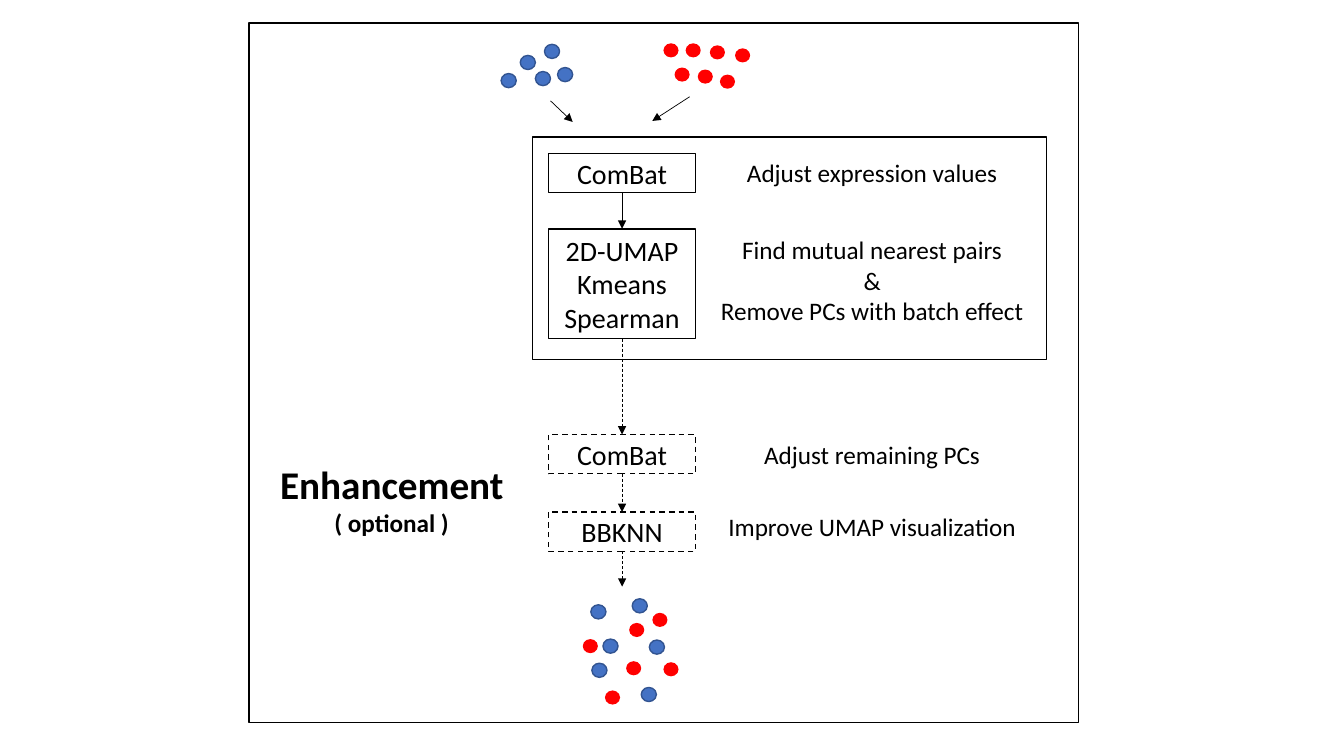
from collections import namedtuple
from dataclasses import dataclass

from lxml.etree import SubElement
from pptx import Presentation
from pptx.dml.color import RGBColor
from pptx.enum.dml import MSO_LINE
from pptx.enum.shapes import MSO_CONNECTOR, MSO_SHAPE
from pptx.enum.text import MSO_ANCHOR, MSO_AUTO_SIZE, PP_ALIGN
from pptx.oxml.ns import qn
from pptx.util import Inches, Pt


@dataclass(frozen=True)
class Theme:
    font: str = "Calibri"
    ink: RGBColor = RGBColor(0x00, 0x00, 0x00)
    blue: RGBColor = RGBColor(0x44, 0x72, 0xC4)
    blue_edge: RGBColor = RGBColor(0x32, 0x54, 0x91)
    red: RGBColor = RGBColor(0xFF, 0x00, 0x00)
    heading_size: int = 28
    step_size: int = 20
    note_size: int = 18
    outline: float = 1
    arrow: float = 0.5


THEME = Theme()
Box = namedtuple("Box", "left top width height")
# top is measured from the region; note_rise from the top of the step
Step = namedtuple("Step", "names top height note note_width note_height note_rise")

STEP_WIDTH = 1.46
DOT_WIDTH, DOT_HEIGHT = 0.15, 0.14

PAGE = Box(2.47, 0.23, 8.23, 6.94)
BLUE_BATCH = Box(4.97, 0.44, 0.71, 0.43)
RED_BATCH = Box(6.58, 0.43, 0.86, 0.45)
CORE = Box(5.28, 1.36, 5.1, 2.21)
ENHANCEMENT = Box(5.28, 4.31, 5.1, 1.16)
ENHANCEMENT_TITLE = Box(2.63, 4.52, 2.51, 0.88)
MIXED = Box(5.78, 5.94, 0.95, 1.05)

BLUE_DOTS = [(0.19, 0.11), (0.34, 0.27), (0.56, 0.23), (0.43, 0), (0, 0.29)]
RED_DOTS = [(0.34, 0.26), (0.11, 0.24), (0.22, 0), (0.46, 0.02), (0, 0),
            (0.56, 0.31), (0.71, 0.05)]
MIXED_BLUE = [(0.09, 0.64), (0.66, 0.41), (0.2, 0.4), (0.58, 0.88),
              (0.08, 0.06), (0.49, 0)]
MIXED_RED = [(0.46, 0.24), (0.22, 0.91), (0.8, 0.63), (0.43, 0.62),
             (0, 0.4), (0.69, 0.14)]

CORE_STEPS = [
    Step(["ComBat"], 0.16, 0.39, ["Adjust expression values"], 2.71, 0.4, 0.01),
    Step(["2D-UMAP", "Kmeans", "Spearman"], 0.91, 1.09,
         ["Find mutual nearest pairs", "&", "Remove PCs with batch effect"],
         3.24, 1.01, -0.01),
]
ENHANCEMENT_STEPS = [
    Step(["ComBat"], 0, 0.39, ["Adjust remaining PCs"], 2.37, 0.4, 0),
    Step(["BBKNN"], 0.77, 0.39, ["Improve UMAP visualization"], 3.08, 0.4, 0.06),
]


def inches(box):
    return [Inches(length) for length in box]


def write(frame, lines, *, sizes, bold=False, wrap=True, anchor=MSO_ANCHOR.TOP):
    frame.word_wrap = wrap
    frame.vertical_anchor = anchor
    for index, (line, size) in enumerate(zip(lines, sizes)):
        paragraph = frame.paragraphs[0] if index == 0 else frame.add_paragraph()
        paragraph.alignment = PP_ALIGN.CENTER
        run = paragraph.add_run()
        run.text = line
        run.font.name = THEME.font
        run.font.size = Pt(size)
        run.font.bold = bold
        run.font.color.rgb = THEME.ink


def add_note(slide, box, lines, **text_format):
    note = slide.shapes.add_textbox(*inches(box))
    write(note.text_frame, lines, **text_format)
    note.text_frame.auto_size = MSO_AUTO_SIZE.SHAPE_TO_FIT_TEXT


def add_frame(slide, box, dashed=False):
    frame = slide.shapes.add_shape(MSO_SHAPE.RECTANGLE, *inches(box))
    frame.shadow.inherit = False
    frame.fill.background()
    frame.line.color.rgb = THEME.ink
    frame.line.width = Pt(THEME.outline)
    if dashed:
        frame.line.dash_style = MSO_LINE.DASH
    return frame


def add_arrow(slide, start, end, dashed=False):
    arrow = slide.shapes.add_connector(
        MSO_CONNECTOR.STRAIGHT, *inches(start), *inches(end))
    arrow.line.color.rgb = THEME.ink
    arrow.line.width = Pt(THEME.arrow)
    if dashed:
        arrow.line.dash_style = MSO_LINE.DASH
    properties = arrow.line._get_or_add_ln()
    SubElement(properties, qn("a:tailEnd"), type="triangle")
    SubElement(properties.getparent(), qn("a:effectLst"))
    return arrow


def join_steps(slide, upper, lower, dashed):
    arrow = add_arrow(slide, (0, 0), (0, 0), dashed)
    arrow.begin_connect(upper, 2)
    arrow.end_connect(lower, 0)


def add_cells(slide, box, blue=(), red=()):
    cells = slide.shapes.add_group_shape()
    for offsets, fill, edge in ((blue, THEME.blue, THEME.blue_edge),
                                (red, THEME.red, None)):
        for x, y in offsets:
            cell = cells.shapes.add_shape(
                MSO_SHAPE.OVAL,
                *inches((box.left + x, box.top + y, DOT_WIDTH, DOT_HEIGHT)))
            cell.shadow.inherit = False
            cell.fill.solid()
            cell.fill.fore_color.rgb = fill
            if edge is None:
                cell.line.fill.background()
            else:
                cell.line.color.rgb = edge
                cell.line.width = Pt(THEME.outline)


def add_steps(slide, box, steps, dashed=False):
    """Stack the steps at the left of the box, each with its note beside it."""
    step_left = box.left + 0.16
    note_center = box.left + 3.37
    placed = []
    for step in steps:
        top = box.top + step.top
        shape = add_frame(slide, Box(step_left, top, STEP_WIDTH, step.height), dashed)
        write(shape.text_frame, step.names, anchor=MSO_ANCHOR.MIDDLE,
              sizes=[THEME.step_size] * len(step.names))
        add_note(slide, Box(note_center - step.note_width / 2, top - step.note_rise,
                            step.note_width, step.note_height),
                 step.note, sizes=[THEME.note_size] * len(step.note), wrap=False)
        placed.append(shape)
    for upper, lower in zip(placed, placed[1:]):
        join_steps(slide, upper, lower, dashed)
    return placed


def add_inputs(slide, blue_box, red_box):
    add_cells(slide, blue_box, blue=BLUE_DOTS)
    add_cells(slide, red_box, red=RED_DOTS)
    for box, start, end in ((blue_box, (0.49, 0.56), (0.71, 0.77)),
                            (red_box, (0.26, 0.53), (-0.11, 0.77))):
        add_arrow(slide, (box.left + start[0], box.top + start[1]),
                  (box.left + end[0], box.top + end[1]))


def add_output(slide, box, last_step):
    center = box.left + 0.39
    arrow = add_arrow(slide, (center, box.top - 0.47), (center, box.top - 0.12),
                      dashed=True)
    arrow.begin_connect(last_step, 2)
    add_cells(slide, box, MIXED_BLUE, MIXED_RED)


def main():
    deck = Presentation()
    deck.slide_width, deck.slide_height = Inches(13.33), Inches(7.5)
    slide = deck.slides.add_slide(deck.slide_layouts[6])

    # Outer frame and the two batches
    add_frame(slide, PAGE)
    add_inputs(slide, BLUE_BATCH, RED_BATCH)

    # Core correction
    add_frame(slide, CORE)
    core = add_steps(slide, CORE, CORE_STEPS)

    # Optional enhancement
    add_note(slide, ENHANCEMENT_TITLE, ["Enhancement", "( optional )"],
             sizes=[THEME.heading_size, THEME.note_size], bold=True)
    enhancement = add_steps(slide, ENHANCEMENT, ENHANCEMENT_STEPS, dashed=True)
    join_steps(slide, core[-1], enhancement[0], dashed=True)

    # Mixed cells
    add_output(slide, MIXED, enhancement[-1])

    deck.save("out.pptx")


if __name__ == "__main__":
    main()
